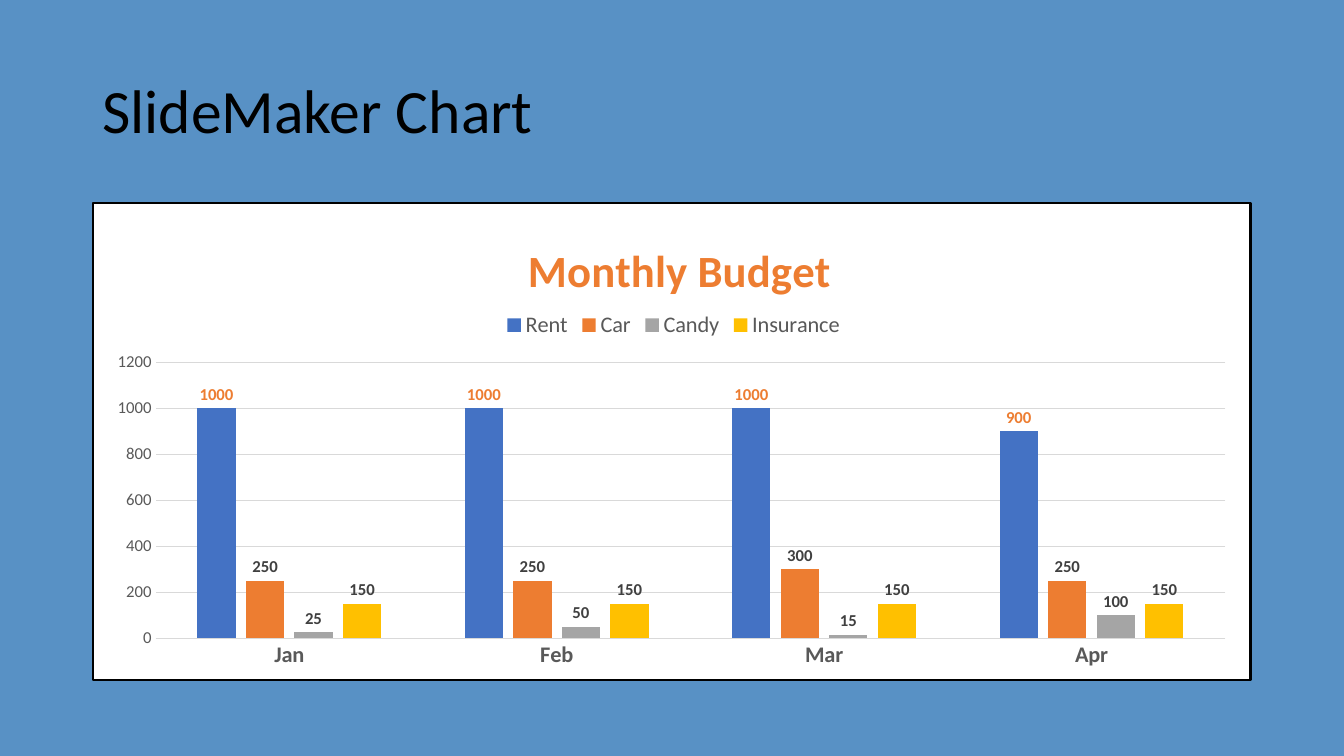
"""Builds a slide with a title and a clustered column chart of a monthly budget."""
from dataclasses import dataclass
from typing import Any

from lxml import etree
from pptx import Presentation
from pptx.chart.chart import Chart
from pptx.chart.data import CategoryChartData
from pptx.dml.color import RGBColor
from pptx.enum.chart import XL_CHART_TYPE, XL_LABEL_POSITION, XL_LEGEND_POSITION, XL_TICK_MARK
from pptx.enum.text import MSO_ANCHOR
from pptx.oxml import parse_xml
from pptx.oxml.ns import nsdecls, qn
from pptx.slide import Slide
from pptx.text.text import Font
from pptx.util import Pt

COLUMNS = XL_CHART_TYPE.COLUMN_CLUSTERED
OUTSIDE_END = XL_LABEL_POSITION.OUTSIDE_END
LEGEND_TOP = XL_LEGEND_POSITION.TOP
NO_TICK = XL_TICK_MARK.NONE
MIDDLE = MSO_ANCHOR.MIDDLE

BACKGROUND = RGBColor(0x58, 0x91, 0xC5)
BLACK = RGBColor(0x00, 0x00, 0x00)
BLUE = RGBColor(0x44, 0x72, 0xC4)
ORANGE = RGBColor(0xED, 0x7D, 0x31)
GRAY = RGBColor(0xA5, 0xA5, 0xA5)
GOLD = RGBColor(0xFF, 0xC0, 0x00)
TEXT_GRAY = RGBColor(0x59, 0x59, 0x59)
LABEL_GRAY = RGBColor(0x40, 0x40, 0x40)
GRID_GRAY = RGBColor(0xD9, 0xD9, 0xD9)

FONT_NAME = "Calibri"
LEFT, WIDTH = Pt(66), Pt(828)
CHART_TOP, CHART_HEIGHT = Pt(144), Pt(342.72)
MONTHS = ("Jan", "Feb", "Mar", "Apr")


@dataclass(frozen=True)
class Expense:
    """One budget series and its colours."""

    name: str
    amounts: tuple[int, ...]
    color: RGBColor
    label_color: RGBColor = LABEL_GRAY


EXPENSES = (
    Expense("Rent", (1000, 1000, 1000, 900), BLUE, ORANGE),
    Expense("Car", (250, 250, 300, 250), ORANGE),
    Expense("Candy", (25, 50, 15, 100), GRAY),
    Expense("Insurance", (150, 150, 150, 150), GOLD),
)


def set_values(target: Any, values: dict[str, Any]) -> None:
    """Set each named attribute on the target."""
    for name, value in values.items():
        setattr(target, name, value)


def style_font(font: Font, size: float, color: RGBColor, bold: bool = False) -> None:
    """Give a font its name, size, weight and colour."""
    set_values(font, {"name": FONT_NAME, "size": Pt(size), "bold": bold})
    font.color.rgb = color


def place(parent: Any, following: str, target: str | None = None, **lengths: int) -> None:
    """Give a chart part a manual layout before its following child."""
    for old in parent.findall(qn("c:layout")):
        parent.remove(old)
    layout = etree.Element(qn("c:layout"))
    manual = etree.SubElement(layout, qn("c:manualLayout"))
    if target:
        etree.SubElement(manual, qn("c:layoutTarget")).set("val", target)
    for mode in ("xMode", "yMode"):
        etree.SubElement(manual, qn(f"c:{mode}")).set("val", "edge")
    for name, length in lengths.items():
        total = WIDTH if name in ("x", "w") else CHART_HEIGHT
        etree.SubElement(manual, qn(f"c:{name}")).set("val", f"{length / total:.4f}")
    parent.find(qn(following)).addprevious(layout)


def add_title(slide: Slide, text: str) -> None:
    """Add the slide title."""
    box = slide.shapes.add_textbox(LEFT, Pt(28.75), WIDTH, Pt(104.4))
    set_values(box.text_frame, {"word_wrap": True, "vertical_anchor": MIDDLE})
    para = box.text_frame.paragraphs[0]
    para.line_spacing = 0.9
    span = para.add_run()
    span.text = text
    style_font(span.font, 44, BLACK)


def style_axes(chart: Chart) -> None:
    """Format the month axis, the amount axis and the grid."""
    months, amounts = chart.category_axis, chart.value_axis
    for axis, size, bold in ((months, 16, True), (amounts, 12, False)):
        set_values(axis, {"major_tick_mark": NO_TICK, "minor_tick_mark": NO_TICK})
        style_font(axis.tick_labels.font, size, TEXT_GRAY, bold)
    set_values(amounts, {"minimum_scale": 0, "maximum_scale": 1200, "major_unit": 200})
    amounts.format.line.fill.background()
    for line in (months.format.line, amounts.major_gridlines.format.line):
        line.width = Pt(0.75)
        line.color.rgb = GRID_GRAY


def style_series(chart: Chart) -> None:
    """Colour the columns and show their values."""
    plot = chart.plots[0]
    set_values(plot, {"gap_width": 219, "overlap": -27, "vary_by_categories": False})
    for series, expense in zip(plot.series, EXPENSES):
        series.format.fill.solid()
        series.format.fill.fore_color.rgb = expense.color
        labels = series.data_labels
        set_values(labels, {"show_value": True, "position": OUTSIDE_END})
        style_font(labels.font, 12, expense.label_color, True)


def add_budget_chart(slide: Slide) -> None:
    """Add the budget chart with its title, legend and frame."""
    budget = CategoryChartData()
    budget.categories = MONTHS
    for expense in EXPENSES:
        budget.add_series(expense.name, expense.amounts)
    frame = slide.shapes.add_chart(COLUMNS, LEFT, CHART_TOP, WIDTH, CHART_HEIGHT, budget)
    chart = frame.chart
    style_font(chart.font, 10, BLACK)
    set_values(chart, {"has_title": True, "has_legend": True})
    span = chart.chart_title.text_frame.paragraphs[0].add_run()
    span.text = "Monthly Budget"
    style_font(span.font, 32, ORANGE, True)
    set_values(chart.legend, {"position": LEGEND_TOP, "include_in_layout": False})
    style_font(chart.legend.font, 16, TEXT_GRAY)
    style_axes(chart)
    style_series(chart)

    root = chart.element.find(qn("c:chart"))
    place(root.find(qn("c:title")), "c:overlay", x=Pt(305), y=Pt(20.5))
    place(root.find(qn("c:legend")), "c:overlay", x=Pt(291), y=Pt(75))
    place(root.find(qn("c:plotArea")), "c:barChart", "inner",
          x=Pt(44.5), y=Pt(114.5), w=Pt(765.5), h=Pt(198))
    root.addnext(parse_xml(
        f'<c:spPr {nsdecls("c", "a")}>'
        '<a:solidFill><a:srgbClr val="FFFFFF"/></a:solidFill>'
        f'<a:ln w="{Pt(1.5)}"><a:solidFill><a:srgbClr val="{BLACK}"/></a:solidFill></a:ln>'
        '</c:spPr>'))


def main() -> None:
    """Build and save the deck."""
    deck = Presentation()
    set_values(deck, {"slide_width": Pt(960), "slide_height": Pt(540)})
    page = deck.slides.add_slide(deck.slide_layouts[6])
    page.background.fill.solid()
    page.background.fill.fore_color.rgb = BACKGROUND
    add_title(page, "SlideMaker Chart")
    add_budget_chart(page)
    deck.save("out.pptx")


main()
